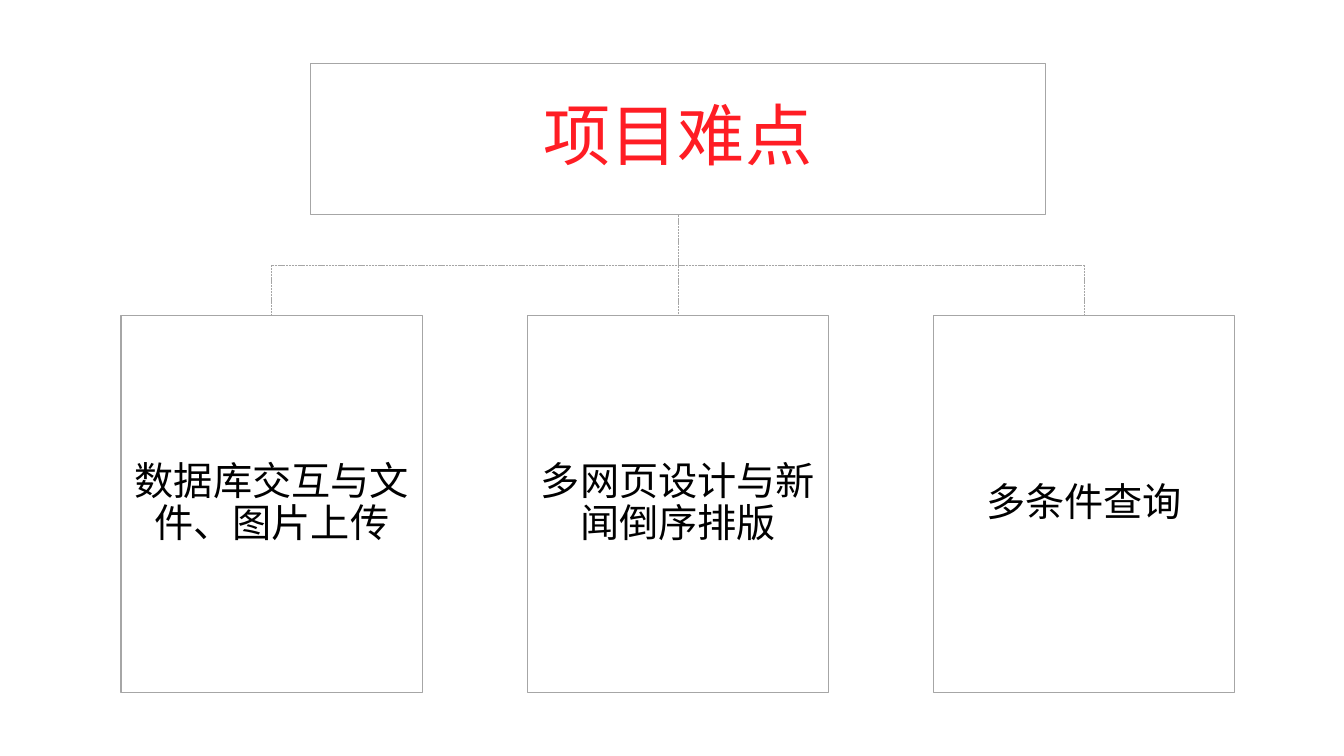
from lxml import etree
from pptx import Presentation
from pptx.dml.color import RGBColor
from pptx.enum.dml import MSO_LINE
from pptx.enum.shapes import MSO_CONNECTOR, MSO_SHAPE
from pptx.enum.text import MSO_ANCHOR, MSO_AUTO_SIZE, PP_ALIGN
from pptx.oxml.ns import qn
from pptx.util import Cm, Pt

STRAIGHT = MSO_CONNECTOR.STRAIGHT
RECTANGLE = MSO_SHAPE.RECTANGLE
DASHED = MSO_LINE.SQUARE_DOT
MIDDLE = MSO_ANCHOR.MIDDLE
CENTER = PP_ALIGN.CENTER
FIXED_SIZE = MSO_AUTO_SIZE.NONE
TOP, BOTTOM = 0, 2

TITLE = "项目难点"
DIFFICULTIES = ["数据库交互与文件、图片上传", "多网页设计与新闻倒序排版", "多条件查询"]
GRAY, RED, BLACK = "A6A6A6", "FF1D24", "000000"


def color(hex_string):
    return RGBColor.from_string(hex_string)


def write_text(shape, text, *, size, text_color, font="Arial"):
    frame = shape.text_frame
    frame.word_wrap = True
    frame.auto_size = FIXED_SIZE
    frame.vertical_anchor = MIDDLE
    paragraph = frame.paragraphs[0]
    paragraph.alignment = CENTER
    paragraph.line_spacing = 0.9
    paragraph.space_before = Pt(10)
    run = paragraph.add_run()
    run.text = text
    run.font.name = font
    run.font.size = Pt(size)
    run.font.color.rgb = color(text_color)


def outline(shape):
    shape.fill.background()
    shape.line.color.rgb = color(GRAY)
    shape.line.width = Pt(0.75)


def add_title(slide, text, left, top, width, height):
    title = slide.shapes.title
    title.left, title.top = Cm(left), Cm(top)
    title.width, title.height = Cm(width), Cm(height)
    outline(title)
    write_text(title, text, size=48, text_color=RED)
    return title


def add_card(slide, text, left, top, width, height):
    card = slide.shapes.add_shape(RECTANGLE, Cm(left), Cm(top), Cm(width), Cm(height))
    card.shadow.inherit = False
    outline(card)
    write_text(card, text, size=28, text_color=BLACK)
    return card


def add_dashed_line(slide, start_x, start_y, end_x, end_y):
    line = slide.shapes.add_connector(STRAIGHT, Cm(start_x), Cm(start_y), Cm(end_x), Cm(end_y))
    line.line.color.rgb = color(GRAY)
    line.line.width = Pt(0.5)
    line.line.dash_style = DASHED
    etree.SubElement(line._element.spPr, qn("a:effectLst"))
    return line


def add_hierarchy(slide, title_text, card_texts, left, top, width, height):
    """Place the title box above a row of cards and join them by a dashed rail."""
    title_width, title_height = 18.54, 3.81
    card_width, card_height = 7.6, 9.5
    center = left + width / 2
    title_bottom = top + title_height
    card_top = top + height - card_height
    rail = (title_bottom + card_top) / 2
    step = (width - card_width) / (len(card_texts) - 1)

    title = add_title(slide, title_text, center - title_width / 2, top, title_width, title_height)
    middles = [left + card_width / 2 + index * step for index in range(len(card_texts))]
    add_dashed_line(slide, middles[0], rail, middles[-1], rail)

    for index, (text, middle) in enumerate(zip(card_texts, middles)):
        card = add_card(slide, text, middle - card_width / 2, card_top, card_width, card_height)
        is_central = index == len(card_texts) // 2
        start_y = title_bottom if is_central else rail
        line = add_dashed_line(slide, middle, start_y, middle, card_top)
        if is_central:
            line.begin_connect(title, BOTTOM)
        line.end_connect(card, TOP)


def main():
    presentation = Presentation()
    presentation.slide_width, presentation.slide_height = Cm(33.87), Cm(19.05)
    title_only = presentation.slide_layouts.get_by_name("Title Only")
    slide = presentation.slides.add_slide(title_only)
    add_hierarchy(slide, TITLE, DIFFICULTIES, left=3.05, top=1.6, width=28.07, height=15.85)
    presentation.save("out.pptx")


if __name__ == "__main__":
    main()
